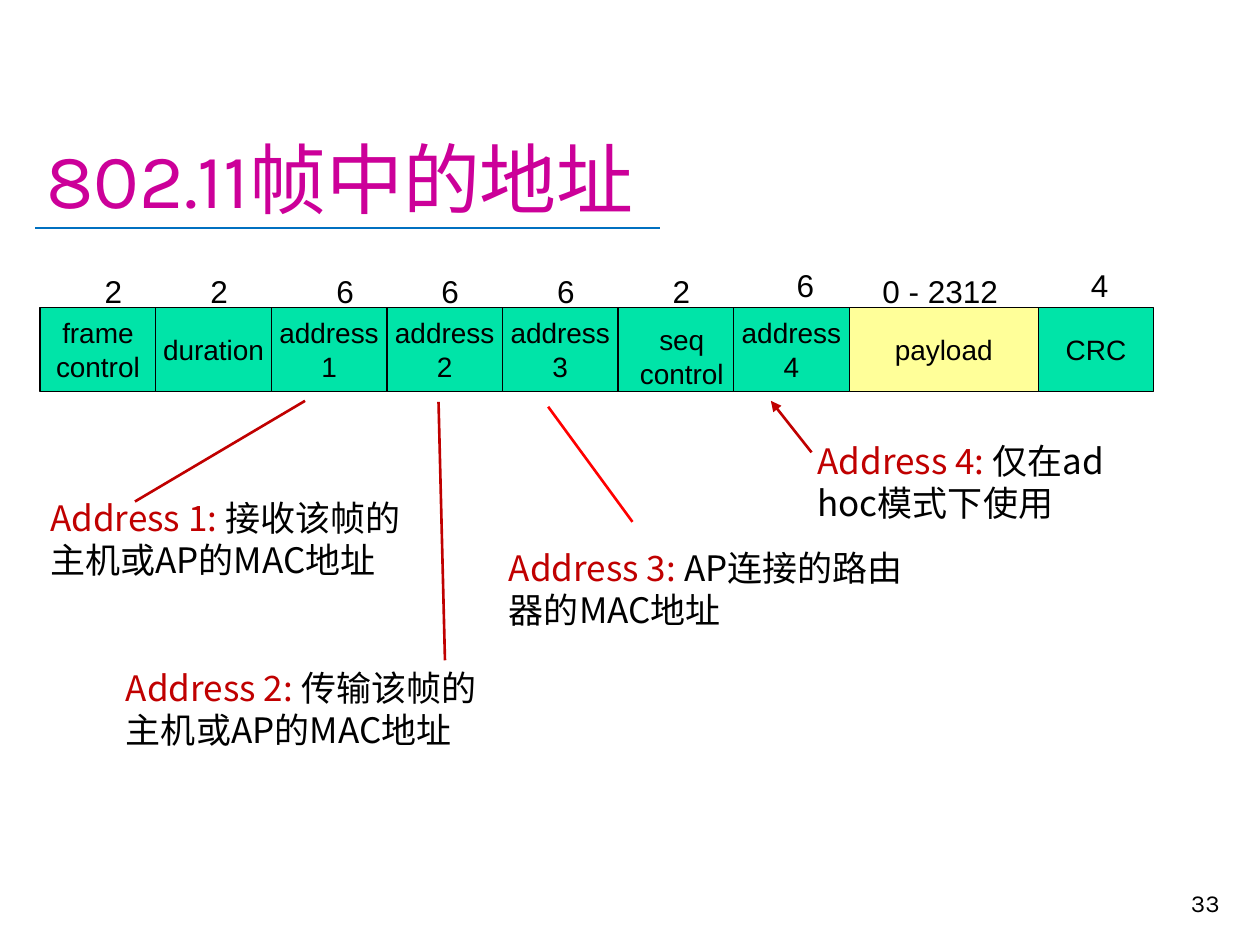
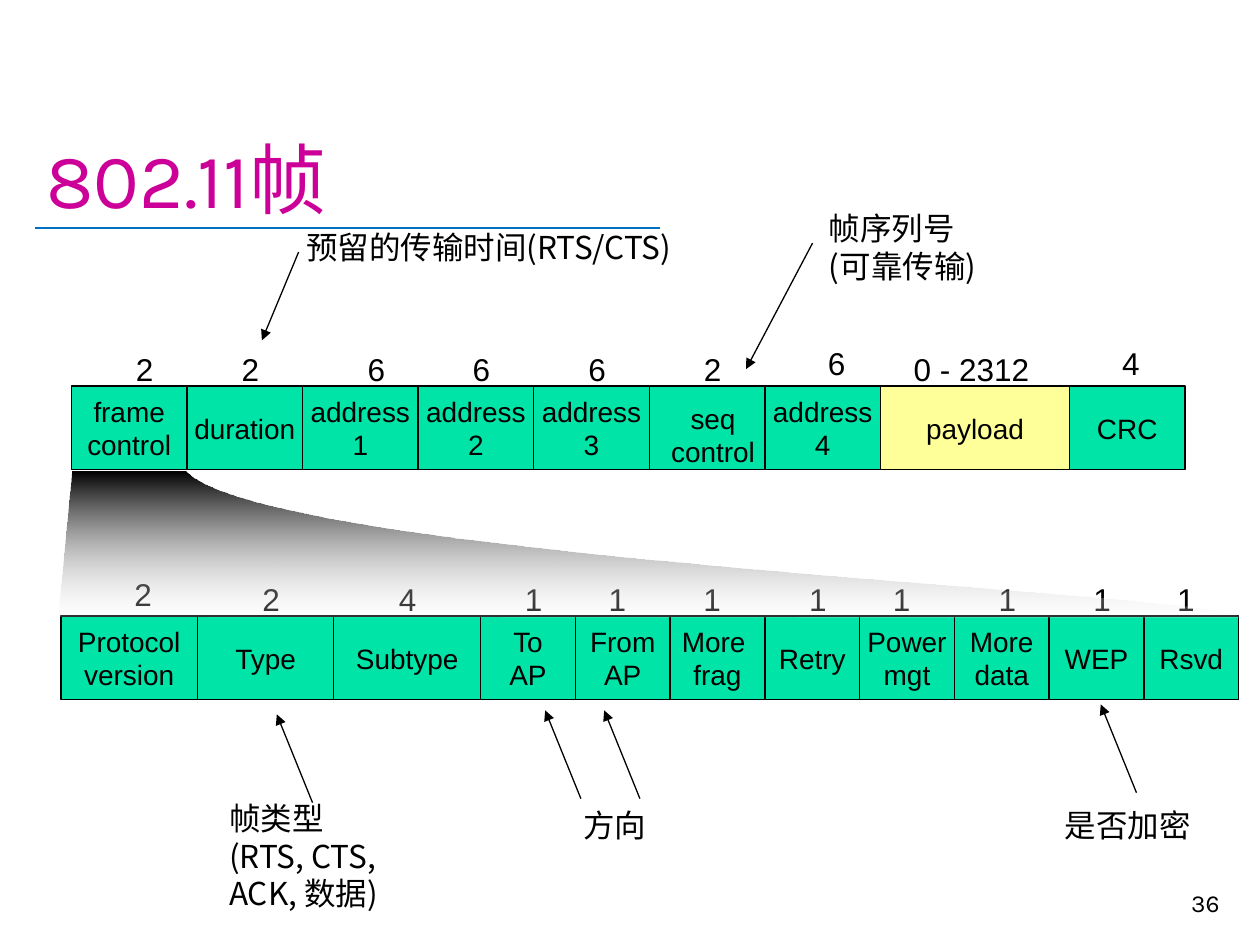
import lxml.etree
import pptx
import pptx.dml.color
import pptx.enum.dml
import pptx.enum.shapes
import pptx.enum.text
import pptx.oxml.ns
import pptx.util

Cm = pptx.util.Cm
Pt = pptx.util.Pt
rgb = pptx.dml.color.RGBColor.from_string
qn = pptx.oxml.ns.qn
ALIGN = pptx.enum.text.PP_ALIGN
ANCHOR = pptx.enum.text.MSO_ANCHOR
SHAPE = pptx.enum.shapes.MSO_SHAPE

COLORS = {
    "title": "CC0099",
    "rule": "0070C0",
    "header": "00E4A8",
    "payload": "FFFF99",
    "label": "C00000",
    "red": "FF0000",
    "ink": "000000",
    "white": "FFFFFF",
}
LATIN = "Arial"
CJK = "Noto Sans CJK SC"
TITLE_FONT = "Karla"


def write(host, text, size, font=CJK, color="ink", align=ALIGN.LEFT,
          anchor=ANCHOR.TOP, wrap=False, label=""):
    frame = host.text_frame
    frame.text = text
    frame.word_wrap = wrap
    frame.vertical_anchor = anchor
    if label:
        label_run = frame.paragraphs[0].add_run()
        label_run.text = label
        frame.paragraphs[0]._p.insert(0, label_run._r)
    for paragraph in frame.paragraphs:
        paragraph.alignment = align
        for run in paragraph.runs:
            run.font.size = Pt(size)
            run.font.color.rgb = rgb(COLORS["label" if label and run.text == label else color])
            run.font.name = font
            east_asian = lxml.etree.SubElement(run._r.get_or_add_rPr(), qn("a:ea"))
            east_asian.set("typeface", CJK)


def draw_line(slide, start, end, color, weight, arrow=False):
    line = slide.shapes.add_connector(
        pptx.enum.shapes.MSO_CONNECTOR.STRAIGHT,
        Cm(start[0]), Cm(start[1]), Cm(end[0]), Cm(end[1]))
    line.line.color.rgb = rgb(COLORS[color])
    line.line.width = Pt(weight)
    if arrow:
        tail = lxml.etree.SubElement(line.line._get_or_add_ln(), qn("a:tailEnd"))
        tail.set("type", "triangle")
    lxml.etree.SubElement(line._element.spPr, qn("a:effectLst"))


deck = pptx.Presentation()
deck.slide_width = Cm(25.4)
deck.slide_height = Cm(19.05)

slides = []
for title, number in [("802.11帧中的地址", "33"), ("802.11帧", "36")]:
    slide = deck.slides.add_slide(deck.slide_layouts[6])
    draw_line(slide, (0.71, 4.6), (13.31, 4.6), "rule", 1.25)
    heading = slide.shapes.add_textbox(Cm(0.69), Cm(0.58), Cm(24.16), Cm(4.06))
    write(heading, title, 44, TITLE_FONT, "title", anchor=ANCHOR.BOTTOM, wrap=True)
    page = slide.shapes.add_textbox(Cm(19.56), Cm(17.35), Cm(5.28), Cm(1.27))
    write(page, number, 14, TITLE_FONT, align=ALIGN.RIGHT, anchor=ANCHOR.BOTTOM, wrap=True)
    slides.append(slide)
addresses, frame_control = slides

# Each field: name, width, byte or bit count, count indent, count height above the row
LOW, HIGH = 0.85, 0.96
FRAME_FIELDS = [
    ("frame\ncontrol", 2.33, "2", 1.05, LOW),
    ("duration", 2.33, "2", 0.85, LOW),
    ("address\n1", 2.33, "6", 1.06, LOW),
    ("address\n2", 2.33, "6", 0.85, LOW),
    ("address\n3", 2.33, "6", 0.85, LOW),
    ("seq\ncontrol", 2.33, "2", 0.85, LOW),
    ("address\n4", 2.33, "6", 1.02, HIGH),
    ("payload", 3.81, "0 - 2312", 0.42, LOW),
    ("CRC", 2.33, "4", 0.81, HIGH),
]
CONTROL_FIELDS = [
    ("Protocol\nversion", 2.75, "2", 1.23, HIGH),
    ("Type", 2.75, "2", 1.06, LOW),
    ("Subtype", 2.96, "4", 1.06, LOW),
    ("To\nAP", 1.91, "1", 0.64, LOW),
    ("From\nAP", 1.91, "1", 0.42, LOW),
    ("More \nfrag", 1.91, "1", 0.42, LOW),
    ("Retry", 1.91, "1", 0.64, LOW),
    ("Power\nmgt", 1.91, "1", 0.42, LOW),
    ("More\ndata", 1.91, "1", 0.64, LOW),
    ("WEP", 1.91, "1", 0.64, LOW),
    ("Rsvd", 1.91, "1", 0.42, LOW),
]

for slide, left, top, fields in [
    (addresses, 0.81, 6.2, FRAME_FIELDS),
    (frame_control, 1.44, 7.78, FRAME_FIELDS),
    (frame_control, 1.23, 12.42, CONTROL_FIELDS),
]:
    for name, width, count, indent, rise in fields:
        field = slide.shapes.add_shape(SHAPE.RECTANGLE, Cm(left), Cm(top), Cm(width), Cm(1.69))
        field.shadow.inherit = False
        field.fill.solid()
        field.fill.fore_color.rgb = rgb(COLORS["payload" if name == "payload" else "header"])
        field.line.color.rgb = rgb(COLORS["ink"])
        field.line.width = Pt(0.75)
        if name == "seq\ncontrol":
            field = slide.shapes.add_textbox(Cm(left + 0.18), Cm(top + 0.17), Cm(2.21), Cm(1.63))
        write(field, name, 16, LATIN, align=ALIGN.CENTER, anchor=ANCHOR.MIDDLE)
        size = slide.shapes.add_textbox(
            Cm(left + indent), Cm(top - rise), Cm(2.84 if len(count) > 1 else 0.86), Cm(1.02))
        write(size, count, 18, LATIN)
        left += width

for label, meaning, left, top, width, wrap in [
    ("Address 2: ", "传输该帧的\v主机或AP的MAC地址", 2.29, 13.31, 8, False),
    ("Address 1: ", "接收该帧的\v主机或AP的MAC地址", 0.76, 9.88, 8, False),
    ("Address 3: ", "AP连接的路由器的MAC地址", 10.01, 10.9, 8.48, True),
    ("Address 4: ", "仅在ad hoc模式下使用", 16.23, 8.74, 7.24, True),
]:
    note = addresses.shapes.add_textbox(Cm(left), Cm(top), Cm(width), Cm(1.96))
    write(note, meaning, 20, wrap=wrap, label=label)

for start, end, color, arrow in [
    ((2.72, 10.11), (6.15, 8.08), "label", False),
    ((8.97, 13.31), (8.84, 8.1), "label", False),
    ((12.75, 10.52), (11.05, 8.2), "red", False),
    ((16.36, 9.12), (15.54, 8.08), "label", True),
]:
    draw_line(addresses, start, end, color, 1.5, arrow)

curve = [(24.97, 12.45), (25.4, 11.96), (5.49, 11.3), (3.76, 9.5)]
STEPS = 40
outline = [(1.19, 12.42)]
for step in range(STEPS + 1):
    t = step / STEPS
    weights = [(1 - t) ** 3, 3 * t * (1 - t) ** 2, 3 * t ** 2 * (1 - t), t ** 3]
    outline.append(tuple(sum(w * point[axis] for w, point in zip(weights, curve))
                         for axis in (0, 1)))
builder = frame_control.shapes.build_freeform(Cm(1.47), Cm(9.5))
builder.add_line_segments([(Cm(x), Cm(y)) for x, y in outline], close=True)
zoom = builder.convert_to_shape()
zoom.shadow.inherit = False
zoom.line.fill.background()
zoom.fill.gradient()
zoom.fill.gradient_angle = 270
for stop, color in zip(zoom.fill.gradient_stops, ("ink", "white")):
    stop.color.rgb = rgb(COLORS[color])
fade = zoom._element.spPr.findall(".//" + qn("a:srgbClr"))[-1]
lxml.etree.SubElement(fade, qn("a:alpha")).set("val", "18000")

for remark, left, top, width, height, wrap in [
    ("预留的传输时间(RTS/CTS)", 5.92, 4.47, 8.15, 1.02, False),
    ("帧序列号\n(可靠传输)", 16.46, 4.09, 3.71, 1.8, True),
    ("帧类型\v(RTS, CTS, ACK, 数据)", 4.37, 15.98, 4.52, 2.57, True),
    ("是否加密", 21.21, 16.13, 3.1, 1.02, False),
    ("方向", 11.51, 16.13, 1.8, 1.02, False),
]:
    note = frame_control.shapes.add_textbox(Cm(left), Cm(top), Cm(width), Cm(height))
    write(note, remark, 18, wrap=wrap)

pointers = [((6.02, 5.08), (5.28, 6.86)), ((16.38, 4.9), (15.04, 7.44))]
for x, y in [(6.3, 16.18), (22.91, 15.98), (11.71, 16.1), (12.9, 16.1)]:
    pointers.append(((x, y), (x - 0.72, y - 1.78)))
for start, end in pointers:
    draw_line(frame_control, start, end, "ink", 0.75, arrow=True)

deck.save("out.pptx")
